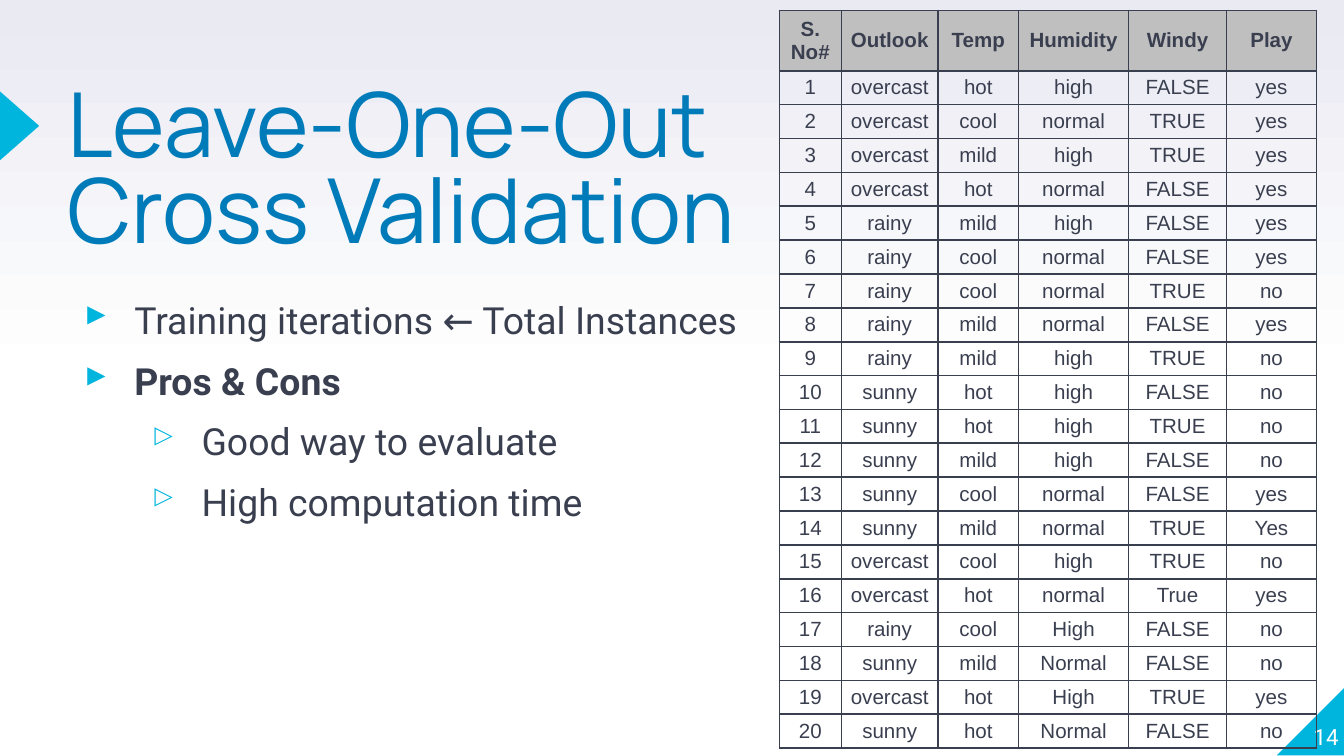
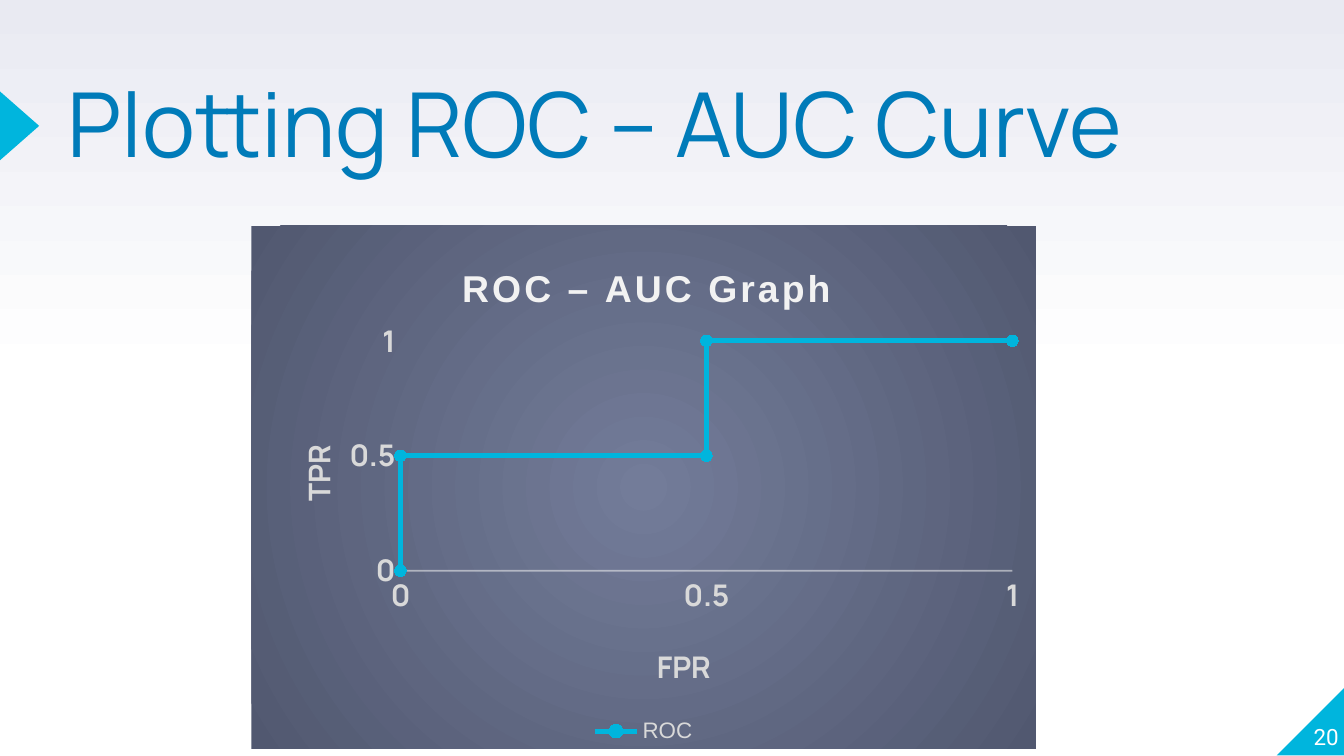
from lxml.etree import SubElement
from pptx import Presentation
from pptx.chart.data import XyChartData
from pptx.dml.color import RGBColor
from pptx.enum.chart import XL_CHART_TYPE, XL_LEGEND_POSITION, XL_MARKER_STYLE, XL_TICK_MARK
from pptx.enum.shapes import MSO_SHAPE
from pptx.enum.text import MSO_ANCHOR, PP_ALIGN
from pptx.oxml import parse_xml
from pptx.oxml.ns import nsdecls, qn
from pptx.util import Cm, Pt

CYAN, BLUE, INK, WHITE = "00B5DD", "007BB9", "3A3F50", "FFFFFF"
HEADER_GRAY, LABEL_GRAY, PALE = "BFBFBF", "D9D9D9", "F2F2F2"
HEADING_FONT, BODY_FONT, DATA_FONT = "Manrope", "Roboto", "Arial"

BULLETS = [
    ("Training iterations ← Total Instances", 0, False),
    ("Pros & Cons", 0, True),
    ("Good way to evaluate", 1, False),
    ("High computation time", 1, False),
]
HEADERS = ["S. No#", "Outlook", "Temp", "Humidity", "Windy", "Play"]
COLUMN_WIDTHS = [1.17, 1.83, 1.52, 2.08, 1.85, 1.7]
WEATHER = """overcast hot high FALSE yes
overcast cool normal TRUE yes
overcast mild high TRUE yes
overcast hot normal FALSE yes
rainy mild high FALSE yes
rainy cool normal FALSE yes
rainy cool normal TRUE no
rainy mild normal FALSE yes
rainy mild high TRUE no
sunny hot high FALSE no
sunny hot high TRUE no
sunny mild high FALSE no
sunny cool normal FALSE yes
sunny mild normal TRUE Yes
overcast cool high TRUE no
overcast hot normal True yes
rainy cool High FALSE no
sunny mild Normal FALSE no
overcast hot High TRUE yes
sunny hot Normal FALSE no"""
ROC_POINTS = [(1, 1), (1, 1), (0.5, 1), (0.5, 0.5), (0, 0.5), (0, 0)]


def color(value):
    return RGBColor.from_string(value)


def style_font(font, name, size, value, bold=False):
    font.name = name
    font.size = Pt(size)
    font.bold = bold
    font.color.rgb = color(value)


def gradient(stops, direction):
    marks = "".join(
        f'<a:gs pos="{position * 1000}"><a:srgbClr val="{value}"/></a:gs>'
        for position, value in stops
    )
    return f'<a:gradFill {nsdecls("a")} rotWithShape="1"><a:gsLst>{marks}</a:gsLst>{direction}</a:gradFill>'


def place(element, index, **fractions):
    for former in element.xpath("c:layout"):
        element.remove(former)
    layout = parse_xml(f'<c:layout {nsdecls("c")}><c:manualLayout/></c:layout>')
    manual = layout[0]
    if "w" in fractions:
        SubElement(manual, qn("c:layoutTarget")).set("val", "inner")
    for side in "xy":
        SubElement(manual, qn(f"c:{side}Mode")).set("val", "edge")
    for key, fraction in fractions.items():
        SubElement(manual, qn(f"c:{key}")).set("val", str(fraction))
    element.insert(index, layout)


class Lecture:
    def __init__(self):
        self.deck = Presentation()
        self.deck.slide_width = Cm(25.4)
        self.deck.slide_height = Cm(14.29)
        self.page = None

    def add_page(self, title, title_width, number):
        self.page = self.deck.slides.add_slide(self.deck.slide_layouts[6])
        self.page.background.fill.solid()
        solid = self.page.element.xpath("p:cSld/p:bg/p:bgPr/a:solidFill")[0]
        stops = [(0, WHITE), (50, WHITE), (100, "E9EAF2")]
        solid.getparent().replace(
            solid, parse_xml(gradient(stops, '<a:lin ang="16200000" scaled="0"/>'))
        )
        corner = self.add_triangle(MSO_SHAPE.RIGHT_TRIANGLE, 24.13, 12.98, 1.3, 1.3)
        corner.element.xpath("p:spPr/a:xfrm")[0].set("flipH", "1")
        pointer = self.add_triangle(MSO_SHAPE.ISOSCELES_TRIANGLE, -0.28, 2.01, 1.3, 0.74)
        pointer.rotation = 90
        box = self.add_text([title], 1.27, 1.68, title_width, 3, HEADING_FONT, 48, BLUE)
        box.text_frame.paragraphs[0].line_spacing = 0.8
        box = self.add_text([number], 24.03, 12.88, 1.27, 1.3, BODY_FONT, 12, WHITE)
        box.text_frame.vertical_anchor = MSO_ANCHOR.BOTTOM
        box.text_frame.paragraphs[0].alignment = PP_ALIGN.RIGHT

    def add_triangle(self, kind, left, top, width, height):
        shape = self.page.shapes.add_shape(kind, Cm(left), Cm(top), Cm(width), Cm(height))
        shape.shadow.inherit = False
        shape.fill.solid()
        shape.fill.fore_color.rgb = color(CYAN)
        shape.line.fill.background()
        return shape

    def add_text(self, lines, left, top, width, height, font, size, value):
        box = self.page.shapes.add_textbox(Cm(left), Cm(top), Cm(width), Cm(height))
        frame = box.text_frame
        frame.word_wrap = True
        frame.margin_left = frame.margin_right = frame.margin_top = frame.margin_bottom = 0
        frame.text = "\n".join(lines)
        for para in frame.paragraphs:
            for span in para.runs:
                style_font(span.font, font, size, value)
        return box

    def add_bullets(self, items, left, top, width, height):
        lines = [text for text, level, bold in items]
        box = self.add_text(lines, left, top, width, height, BODY_FONT, 20, INK)
        for para, (text, level, bold) in zip(box.text_frame.paragraphs, items):
            para.level = level
            para.line_spacing = 1.1
            para.space_before = Pt(6)
            para.runs[0].font.bold = bold
        for properties, (text, level, bold) in zip(box.element.xpath(".//a:pPr"), items):
            properties.set("marL", str(Cm(1.27 * (level + 1))))
            properties.set("indent", str(Cm(-0.95)))
            tint = SubElement(properties, qn("a:buClr"))
            SubElement(tint, qn("a:srgbClr")).set("val", CYAN)
            SubElement(properties, qn("a:buChar")).set("char", "▸▹"[level])

    def add_table(self, rows, widths, left, top, header_height, row_height):
        height = header_height + row_height * (len(rows) - 1)
        frame = self.page.shapes.add_table(
            len(rows), len(widths), Cm(left), Cm(top), Cm(sum(widths)), Cm(height)
        )
        table = frame.table
        table.first_row = table.horz_banding = False
        for column, width in zip(table.columns, widths):
            column.width = Cm(width)
        for index, values in enumerate(rows):
            table.rows[index].height = Cm(row_height if index else header_height)
            for cell, value in zip(table.rows[index].cells, values):
                self.fill_cell(cell, value, index == 0)
        for properties in frame.element.xpath(".//a:tcPr"):
            for index, side in enumerate("LRTB"):
                properties.insert(index, parse_xml(
                    f'<a:ln{side} {nsdecls("a")} w="{Pt(1)}"><a:solidFill>'
                    f'<a:srgbClr val="{INK}"/></a:solidFill></a:ln{side}>'
                ))

    def fill_cell(self, cell, value, header):
        cell.text_frame.text = value
        cell.vertical_anchor = MSO_ANCHOR.MIDDLE
        cell.margin_left = cell.margin_right = Cm(0.13)
        cell.margin_top = cell.margin_bottom = Cm(0.08)
        para = cell.text_frame.paragraphs[0]
        para.alignment = PP_ALIGN.CENTER
        style_font(para.runs[0].font, DATA_FONT, 11, INK, header)
        if header:
            cell.fill.solid()
            cell.fill.fore_color.rgb = color(HEADER_GRAY)
        else:
            cell.fill.background()

    def add_roc_chart(self, points, left, top, width, height):
        data = XyChartData()
        curve = data.add_series("ROC")
        for rate in points:
            curve.add_data_point(*rate)
        chart = self.page.shapes.add_chart(
            XL_CHART_TYPE.XY_SCATTER_LINES, Cm(left), Cm(top), Cm(width), Cm(height), data
        ).chart
        style_font(chart.font, DATA_FONT, 10, INK)
        focus = '<a:path path="circle"><a:fillToRect l="50000" t="50000" r="50000" b="50000"/></a:path>'
        backdrop = gradient([(0, "737C99"), (100, "515870")], focus)
        chart.element.xpath("c:txPr")[0].addprevious(parse_xml(
            f'<c:spPr {nsdecls("c", "a")}>{backdrop}<a:ln><a:noFill/></a:ln></c:spPr>'
        ))
        place(chart.element.xpath("c:chart/c:plotArea")[0], 0, x=0.19, y=0.22, w=0.78, h=0.44)

        chart.has_title = True
        span = self.title_chart(chart.chart_title, "ROC – AUC Graph", DATA_FONT, 20, PALE, 0.26, 0.06)
        span.set("spc", "150")
        self.style_axis(chart.category_axis, "FPR", 0.51, 0.79)
        self.style_axis(chart.value_axis, "TPR", 0.05, 0.41)
        axis_line = chart.category_axis.format.line
        axis_line.width = Pt(1)
        axis_line.color.rgb = color(PALE)
        tint = chart.category_axis.element if hasattr(chart.category_axis, "element") else None
        if tint is None:
            tint = chart.element.xpath(".//c:valAx")[0]
        shade = tint.xpath("c:spPr/a:ln/a:solidFill/a:srgbClr")[0]
        SubElement(shade, qn("a:alpha")).set("val", "54000")
        chart.value_axis.format.line.fill.background()
        body = chart.value_axis.axis_title.element.xpath("c:tx/c:rich/a:bodyPr")[0]
        body.set("rot", "-5400000")
        body.set("vert", "horz")

        chart.has_legend = True
        chart.legend.position = XL_LEGEND_POSITION.BOTTOM
        chart.legend.include_in_layout = False
        style_font(chart.legend.font, DATA_FONT, 12, LABEL_GRAY)
        plot = chart.plots[0]
        plot.vary_by_categories = False
        series = plot.series[0]
        series.format.line.width = Pt(2.75)
        series.format.line.color.rgb = color(CYAN)
        series.marker.style = XL_MARKER_STYLE.CIRCLE
        series.marker.size = 6
        series.marker.format.fill.solid()
        series.marker.format.fill.fore_color.rgb = color("ACE3FF")
        series.marker.format.line.fill.background()

    def title_chart(self, title, text, font, size, value, x, y):
        title.text_frame.text = text
        style_font(title.text_frame.paragraphs[0].runs[0].font, font, size, value, True)
        place(title.element, 1, x=x, y=y)
        return title.element.xpath(".//a:rPr")[0]

    def style_axis(self, axis, text, x, y):
        axis.has_major_gridlines = False
        axis.minimum_scale, axis.maximum_scale, axis.major_unit = 0, 1, 0.5
        axis.major_tick_mark = axis.minor_tick_mark = XL_TICK_MARK.NONE
        axis.tick_labels.number_format = "General"
        axis.tick_labels.number_format_is_linked = False
        style_font(axis.tick_labels.font, HEADING_FONT, 16, LABEL_GRAY, True)
        axis.has_title = True
        self.title_chart(axis.axis_title, text, HEADING_FONT, 16, LABEL_GRAY, x, y)


def main():
    lecture = Lecture()
    lecture.add_page("Leave-One-Out Cross Validation", 13.23, "14")
    lecture.add_bullets(BULLETS, 1.27, 5.54, 21.77, 7.34)
    records = [
        [str(number), *line.split()] for number, line in enumerate(WEATHER.splitlines(), 1)
    ]
    lecture.add_table([HEADERS, *records], COLUMN_WIDTHS, 14.73, 0.2, 1.14, 0.64)

    lecture.add_page("Plotting ROC – AUC Curve", 21.77, "20")
    lecture.add_roc_chart(ROC_POINTS, 4.75, 4.27, 14.83, 9.88)
    lecture.deck.save("out.pptx")


if __name__ == "__main__":
    main()
